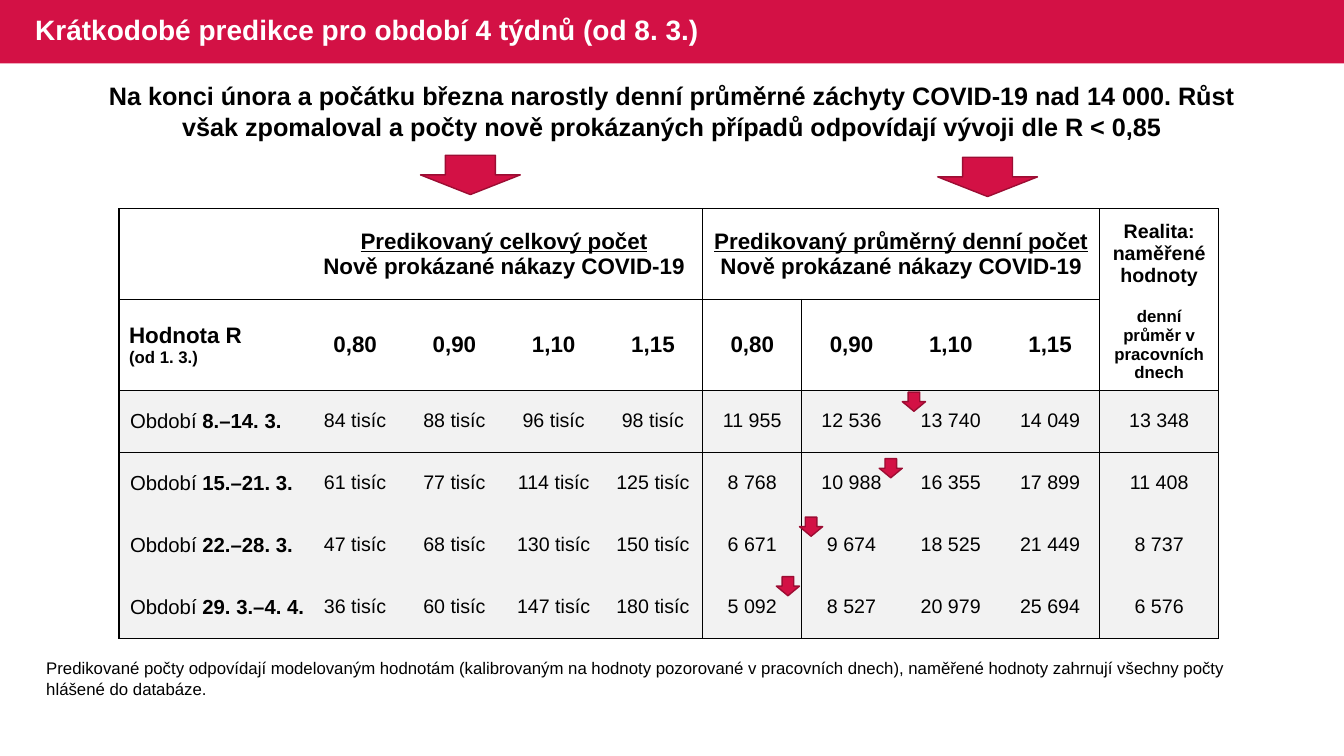
from pptx import Presentation
from pptx.dml.color import RGBColor
from pptx.enum import shapes, text
from pptx.oxml import parse_xml
from pptx.oxml.ns import nsdecls
from pptx.util import Inches, Pt

CRIMSON = RGBColor(0xD3, 0x11, 0x45)
DARK_CRIMSON = RGBColor(0x9C, 0x0D, 0x33)
BLACK = RGBColor(0, 0, 0)
WHITE = RGBColor(0xFF, 0xFF, 0xFF)
LIGHT_GREY = RGBColor(0xF2, 0xF2, 0xF2)
LEFT, CENTER = text.PP_ALIGN.LEFT, text.PP_ALIGN.CENTER


def write(frame, paragraphs, align=CENTER, color=BLACK):
    """Fill a frame; each paragraph is a list of (words, size, bold, underline)."""
    frame.word_wrap = True
    for i, spans in enumerate(paragraphs):
        para = frame.paragraphs[0] if i == 0 else frame.add_paragraph()
        para.alignment = align
        for words, size, bold, underline in spans:
            if words == "\n":
                para.add_line_break()
                continue
            span = para.add_run()
            span.text = words
            font = span.font
            font.name, font.size, font.bold = "Arial", Pt(size), bold
            font.underline = underline
            font.color.rgb = color


def add_shape(kind, left, top, width, height):
    shape = page.shapes.add_shape(kind, Inches(left), Inches(top), Inches(width), Inches(height))
    shape.shadow.inherit = False
    shape.fill.solid()
    shape.fill.fore_color.rgb = CRIMSON
    return shape


deck = Presentation()
deck.slide_width, deck.slide_height = Inches(13.33), Inches(7.5)
page = deck.slides.add_slide(deck.slide_layouts[6])

# Title band, headline and footnote
add_shape(shapes.MSO_SHAPE.RECTANGLE, 0, 0, 13.33, 0.63).line.fill.background()

title = page.shapes.add_textbox(Inches(0.25), 0, Inches(7.41), Inches(0.63)).text_frame
title.vertical_anchor = text.MSO_ANCHOR.MIDDLE
write(title, [[("Krátkodobé predikce pro období 4 týdnů (od 8. 3.)", 20, True, False)]], LEFT, WHITE)
title.paragraphs[0].line_spacing = 0.9

headline = page.shapes.add_textbox(Inches(0.78), Inches(0.75), Inches(11.77), Inches(0.71))
write(headline.text_frame, [[(
    "Na konci února a počátku března narostly denní průměrné záchyty COVID-19 nad 14 000. "
    "Růst však zpomaloval a počty nově prokázaných případů odpovídají vývoji dle R < 0,85",
    18, True, False)]])

footnote = page.shapes.add_textbox(Inches(0.36), Inches(6.48), Inches(12.35), Inches(0.5))
write(footnote.text_frame, [[(
    "Predikované počty odpovídají modelovaným hodnotám (kalibrovaným na hodnoty pozorované "
    "v pracovních dnech), naměřené hodnoty zahrnují všechny počty hlášené do databáze.",
    12, False, False)]], LEFT)

# Prediction table
WIDTH, HEIGHT = 10.91, 4.26
LABEL_WIDTH, REALITY_WIDTH, HEADER_HEIGHT = 1.85, 1.18, 0.9
R_VALUES = ["0,80", "0,90", "1,10", "1,15"]
PERIODS = [
    ("8.–14. 3.", ["84", "88", "96", "98"], ["11 955", "12 536", "13 740", "14 049"], "13 348"),
    ("15.–21. 3.", ["61", "77", "114", "125"], ["8 768", "10 988", "16 355", "17 899"], "11 408"),
    ("22.–28. 3.", ["47", "68", "130", "150"], ["6 671", "9 674", "18 525", "21 449"], "8 737"),
    ("29. 3.–4. 4.", ["36", "60", "147", "180"], ["5 092", "8 527", "20 979", "25 694"], "6 576"),
]

table = page.shapes.add_table(6, 10, Inches(1.18), Inches(2.07), Inches(WIDTH), Inches(HEIGHT)).table
table.first_row = table.horz_banding = False
for i, column in enumerate(table.columns):
    value_width = (WIDTH - LABEL_WIDTH - REALITY_WIDTH) / 8
    column.width = Inches({0: LABEL_WIDTH, 9: REALITY_WIDTH}.get(i, value_width))
for i, row in enumerate(table.rows):
    row.height = Inches(HEADER_HEIGHT if i < 2 else (HEIGHT - 2 * HEADER_HEIGHT) / 4)

contents = {
    (0, 1): [[("Predikovaný celkový počet", 16, True, True), ("\n", 16, True, False),
              ("Nově prokázané nákazy COVID-19", 16, True, False)]],
    (0, 5): [[("Predikovaný průměrný denní počet", 16, True, True),
              (" Nově prokázané nákazy COVID-19", 16, True, False)]],
    (0, 9): [[("Realita: naměřené", 14, True, False)], [("hodnoty", 14, True, False)]],
    (1, 0): [[("Hodnota R", 16, True, False), ("\n", 16, True, False),
              ("(od 1. 3.)", 12, True, False)]],
    (1, 9): [[("denní průměr v pracovních dnech", 12, True, False)]],
}
for c, value in enumerate(R_VALUES * 2, start=1):
    contents[1, c] = [[(value, 16, True, False)]]
for r, (period, totals, averages, reality) in enumerate(PERIODS, start=2):
    contents[r, 0] = [[("Období ", 14.5, False, False), (period, 14.5, True, False)]]
    values = [f"{total} tisíc" for total in totals] + averages + [reality]
    for c, value in enumerate(values, start=1):
        contents[r, c] = [[(value, 14, False, False)]]

for r in range(6):
    for c in range(10):
        cell = table.cell(r, c)
        cell.vertical_anchor = text.MSO_ANCHOR.MIDDLE
        if r > 1 or (r == 1 and 0 < c < 9):
            cell.margin_left = Inches(0.11 if c == 0 else 0)
            cell.margin_right = cell.margin_top = cell.margin_bottom = 0
        write(cell.text_frame, contents.get((r, c), []), LEFT if c == 0 else CENTER)

        # A side is ruled when its grid line is; both neighbours agree on it
        ruled_columns = (0, 5, 9, 10) if r == 0 else (0, 5, 6, 9, 10)
        ruled_rows = (0, 2, 3, 6) if c == 9 else (0, 1, 2, 3, 6)
        sides = {"lnL": c in ruled_columns, "lnR": c + 1 in ruled_columns,
                 "lnT": r in ruled_rows, "lnB": r + 1 in ruled_rows}
        if r == 1 and c == 9:
            sides["lnT"] = False
        properties = cell._tc.get_or_add_tcPr()
        for side, ruled in sides.items():
            ink = f'<a:solidFill><a:srgbClr val="{BLACK}"/></a:solidFill>' if ruled else "<a:noFill/>"
            properties.append(parse_xml(f'<a:{side} {nsdecls("a")} w="12700">{ink}</a:{side}>'))
        if r > 1:
            cell.fill.solid()
            cell.fill.fore_color.rgb = LIGHT_GREY
        else:
            cell.fill.background()
for first in (1, 5):
    table.cell(0, first).merge(table.cell(0, first + 3))

# Arrows: two above the column groups, four marking where reality falls
BIG, SMALL = (0.99, 0.39), (0.23, 0.19)
for left, top, size in [(4.17, 1.54, BIG), (9.3, 1.56, BIG), (8.95, 3.89, SMALL),
                        (8.72, 4.55, SMALL), (7.93, 5.13, SMALL), (7.7, 5.72, SMALL)]:
    arrow = add_shape(shapes.MSO_SHAPE.DOWN_ARROW, left, top, *size)
    arrow.line.color.rgb = DARK_CRIMSON
    arrow.line.width = Pt(1)

deck.save("out.pptx")
